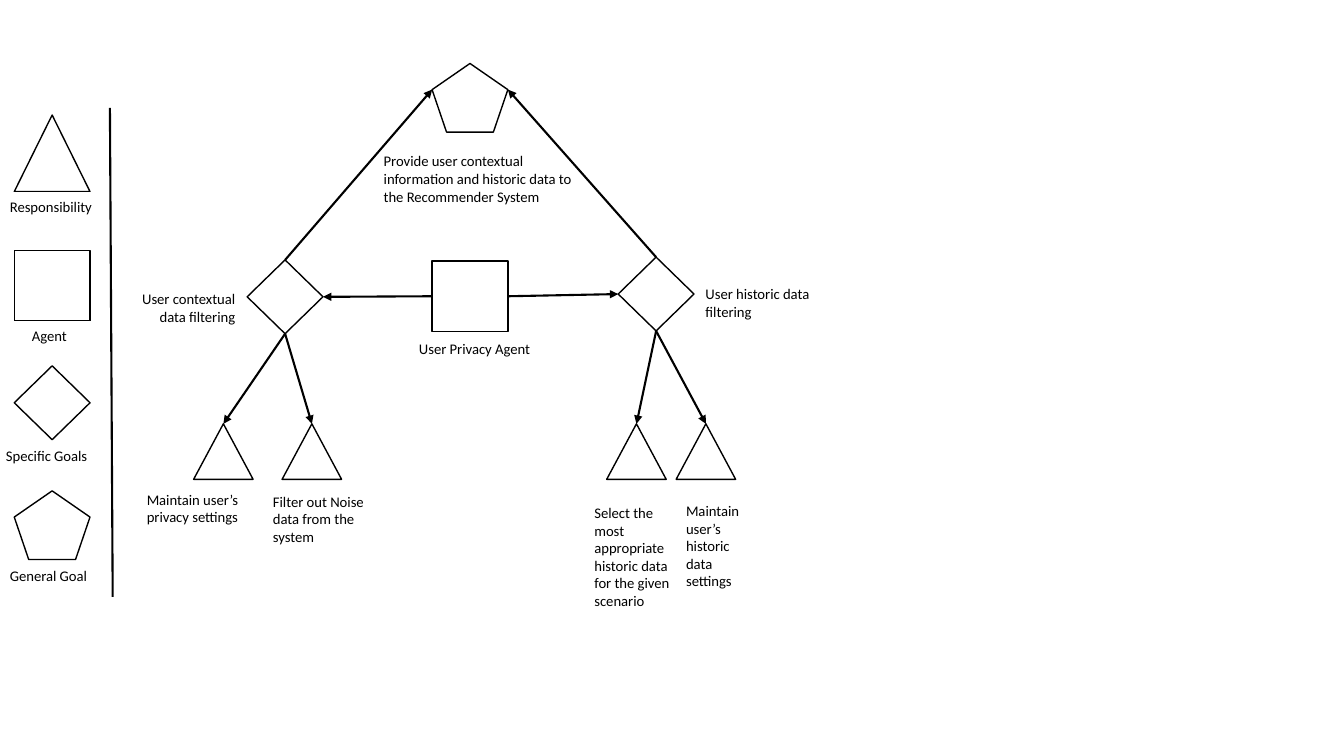
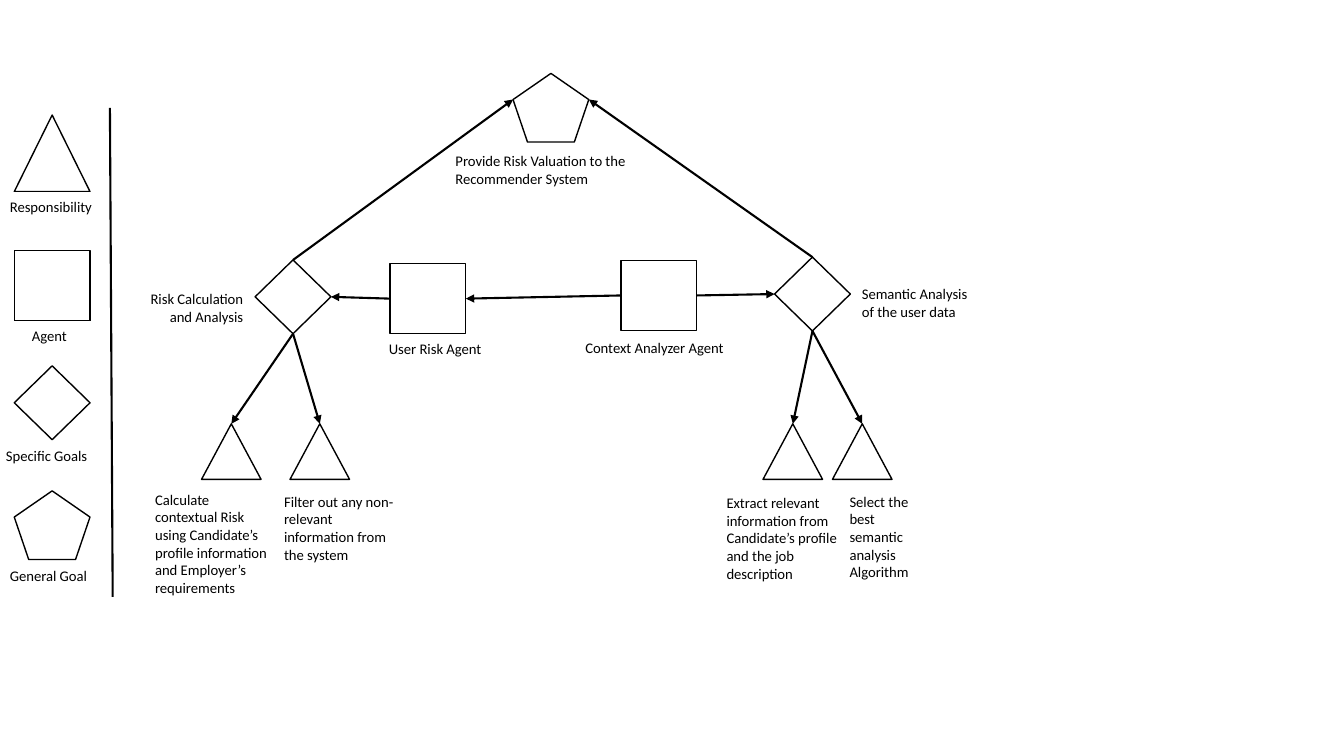
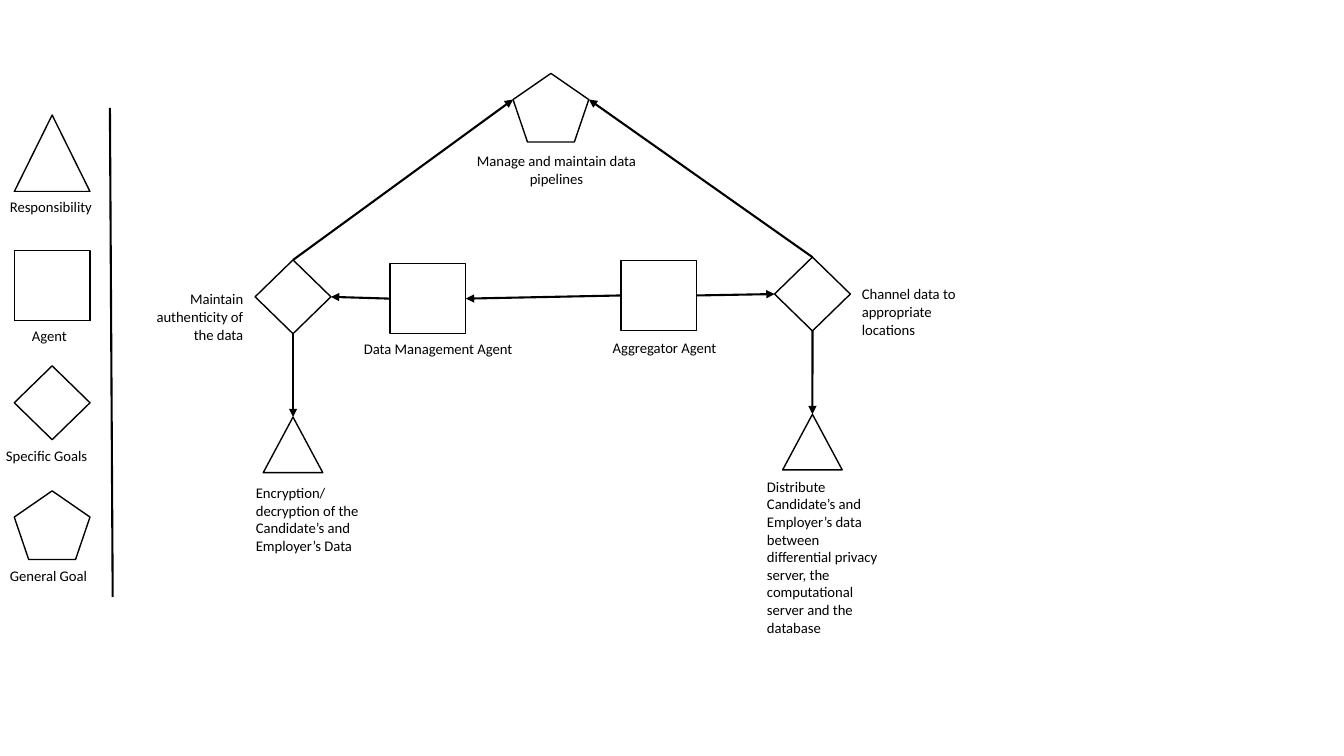
from lxml import etree
from pptx import Presentation
from pptx.dml.color import RGBColor
from pptx.enum.shapes import MSO_CONNECTOR, MSO_SHAPE
from pptx.enum.text import MSO_ANCHOR, MSO_AUTO_SIZE, PP_ALIGN
from pptx.oxml.ns import qn
from pptx.util import Cm, Pt

BLACK = RGBColor(0x00, 0x00, 0x00)
WHITE = RGBColor(0xFF, 0xFF, 0xFF)
FONT = "Calibri"
LEFT, CENTER, RIGHT = PP_ALIGN.LEFT, PP_ALIGN.CENTER, PP_ALIGN.RIGHT
TRIANGLE = MSO_SHAPE.ISOSCELES_TRIANGLE
SQUARE = MSO_SHAPE.RECTANGLE
DIAMOND = MSO_SHAPE.FLOWCHART_DECISION
PENTAGON = MSO_SHAPE.REGULAR_PENTAGON
STRAIGHT = MSO_CONNECTOR.STRAIGHT
TOP_SITE, LEFT_SITE, BOTTOM_SITE, RIGHT_SITE = range(4)

# All lengths are in centimetres.
SYMBOL_WIDTH = 1.91
LEGEND_HEIGHT = 1.93
AGENT_HEIGHT = 1.77
GOAL_HEIGHT = 1.86
PURPOSE_HEIGHT = 1.73
PENTAGON_SHOULDER = 0.38  # share of the height above the side corners
DUTY_SIZE = (1.5, 1.4)
DUTY_PAIR_TOP = 10.68
SINGLE_DUTY_GAP = 2.1
LEGEND_LEFT = 0.36
DIVIDER = (2.77, 2.72, 2.84, 15.04)

# Symbol, its top and height, then label text, left, top, width and alignment
LEGEND = [
    (TRIANGLE, 2.9, LEGEND_HEIGHT, "Responsibility", 0, 4.85, 2.69, LEFT),
    (SQUARE, 6.32, AGENT_HEIGHT, "Agent", -0.23, 8.1, 2.95, CENTER),
    (DIAMOND, 9.22, GOAL_HEIGHT, "Specific Goals", -0.1, 11.13, 2.69, LEFT),
    (PENTAGON, 12.37, PURPOSE_HEIGHT, "General Goal", 0, 14.17, 2.69, LEFT),
]

# Rules for the specific goal on either side; offsets are from the goal's left
SIDES = {
    "left": dict(top=6.55, label=(-3.05, 7.19, 3.0), align=RIGHT,
                 duty_offsets=(-1.35, 0.88)),
    "right": dict(top=6.48, label=(1.95, 7.06, 3.4), align=LEFT,
                  duty_offsets=(-0.29, 1.46)),
}

# Labels: text, left, top, width, number of lines.
# Agents: left and top of the square, then the label.
# Goals: left of the diamond, text, number of lines, labels of responsibilities.
DIAGRAMS = [
    dict(
        purpose_at=(10.89, 1.6), purpose_align=LEFT,
        purpose=("Provide user contextual information and historic data to "
                 "the Recommender System", 9.42, 3.71, 5.59, 3),
        agents=[(10.89, 6.58, ("User Privacy Agent", 10.31, 8.43, 3.63, 1))],
        left=(6.23, "User contextual data filtering", 2, [
            ("Maintain user’s privacy settings", 3.45, 12.24, 3.4, 2),
            ("Filter out Noise data from the system", 6.63, 12.29, 3.0, 3),
        ]),
        right=(15.58, "User historic data filtering", 2, [
            ("Select the most appropriate historic data for the given "
             "scenario", 14.73, 12.57, 2.44, 6),
            ("Maintain user’s historic data settings", 17.04, 12.52, 2.31, 5),
        ]),
    ),
    dict(
        purpose_at=(12.93, 1.85), purpose_align=LEFT,
        purpose=("Provide Risk Valuation to the Recommender System",
                 11.23, 3.71, 5.59, 2),
        agents=[
            (9.83, 6.64, ("User Risk Agent", 9.55, 8.43, 5.59, 1)),
            (15.65, 6.56, ("Context Analyzer Agent", 14.5, 8.41, 5.59, 1)),
        ],
        left=(6.43, "Risk Calculation and Analysis", 2, [
            ("Calculate contextual Risk using Candidate’s profile information "
             "and Employer’s requirements", 3.66, 12.24, 3.4, 6),
            ("Filter out any non-relevant information from the system",
             6.91, 12.29, 3.4, 4),
        ]),
        right=(19.52, "Semantic Analysis of the user data", 2, [
            ("Extract relevant information from Candidate’s profile and the "
             "job description", 18.06, 12.32, 3.4, 5),
            ("Select the best semantic analysis Algorithm",
             21.16, 12.29, 2.31, 5),
        ]),
    ),
    dict(
        purpose_at=(12.93, 1.85), purpose_align=CENTER,
        purpose=("Manage and maintain data pipelines", 11.23, 3.71, 5.59, 2),
        agents=[
            (9.83, 6.64, ("Data Management Agent", 8.92, 8.43, 5.59, 1)),
            (15.65, 6.56, ("Aggregator Agent", 15.19, 8.41, 5.59, 1)),
        ],
        left=(6.43, "Maintain authenticity of the data", 3, [
            ("Encryption/decryption of the Candidate’s and Employer’s Data",
             6.2, 12.07, 3.4, 4),
        ]),
        right=(19.52, "Channel data to appropriate locations", 3, [
            ("Distribute Candidate’s and Employer’s data between differential "
             "privacy server, the computational server and the database",
             19.08, 11.91, 3.4, 9),
        ]),
    ),
]


def add_symbol(slide, kind, left, top, height, width=SYMBOL_WIDTH):
    symbol = slide.shapes.add_shape(kind, Cm(left), Cm(top), Cm(width), Cm(height))
    symbol.shadow.inherit = False
    symbol.fill.solid()
    symbol.fill.fore_color.rgb = WHITE
    symbol.line.color.rgb = BLACK
    symbol.line.width = Pt(1)
    return symbol


def add_label(slide, text, left, top, width, lines=1, align=LEFT, size=10.5,
              color=BLACK):
    height = 0.26 + 0.45 * lines
    label = slide.shapes.add_textbox(Cm(left), Cm(top), Cm(width), Cm(height))
    label.line.color.rgb = WHITE
    label.line.width = Pt(0.75)
    frame = label.text_frame
    frame.word_wrap = True
    frame.auto_size = MSO_AUTO_SIZE.SHAPE_TO_FIT_TEXT
    frame.vertical_anchor = MSO_ANCHOR.TOP
    paragraph = frame.paragraphs[0]
    paragraph.alignment = align
    run = paragraph.add_run()
    run.text = text
    run.font.name = FONT
    run.font.size = Pt(size)
    run.font.color.rgb = color


def add_line(slide, x1=0, y1=0, x2=0, y2=0, start=None, end=None, arrow=True):
    """Draw a line; start and end are (shape, site) pairs that override points."""
    line = slide.shapes.add_connector(STRAIGHT, Cm(x1), Cm(y1), Cm(x2), Cm(y2))
    if start:
        line.begin_connect(*start)
    if end:
        line.end_connect(*end)
    line.line.color.rgb = BLACK
    line.line.width = Pt(1.5)
    if arrow:
        etree.SubElement(line.line._get_or_add_ln(), qn("a:tailEnd"), type="triangle")
    etree.SubElement(line._element.spPr, qn("a:effectLst"))


def add_legend(slide):
    add_line(slide, *DIVIDER, arrow=False)
    for kind, top, height, text, label_left, label_top, width, align in LEGEND:
        add_symbol(slide, kind, LEGEND_LEFT, top, height)
        add_label(slide, text, label_left, label_top, width, align=align)


def add_goal(slide, side, left, text, lines, duties):
    """Draw a specific goal with its responsibilities and return its diamond."""
    rule = SIDES[side]
    goal = add_symbol(slide, DIAMOND, left, rule["top"], GOAL_HEIGHT)
    offset, label_top, label_width = rule["label"]
    add_label(slide, text, left + offset, label_top, label_width, lines,
              align=rule["align"])
    duty_width, duty_height = DUTY_SIZE
    if len(duties) == 1:
        offsets = [(SYMBOL_WIDTH - duty_width) / 2]
        duty_top = rule["top"] + GOAL_HEIGHT + SINGLE_DUTY_GAP
    else:
        offsets, duty_top = rule["duty_offsets"], DUTY_PAIR_TOP
    for offset, duty_label in zip(offsets, duties):
        duty = add_symbol(slide, TRIANGLE, left + offset, duty_top,
                          duty_height, duty_width)
        add_label(slide, *duty_label)
        add_line(slide, start=(goal, BOTTOM_SITE), end=(duty, TOP_SITE))
    return goal


def add_diagram(slide, diagram):
    purpose_left, purpose_top = diagram["purpose_at"]
    add_symbol(slide, PENTAGON, purpose_left, purpose_top, PURPOSE_HEIGHT)
    add_label(slide, *diagram["purpose"], align=diagram["purpose_align"])

    agents = []
    for left, top, agent_label in diagram["agents"]:
        agents.append(add_symbol(slide, SQUARE, left, top, AGENT_HEIGHT))
        add_label(slide, *agent_label)

    left_goal, right_goal = (add_goal(slide, side, *diagram[side]) for side in SIDES)
    shoulder = purpose_top + PENTAGON_SHOULDER * PURPOSE_HEIGHT
    for goal, corner in ((left_goal, purpose_left),
                         (right_goal, purpose_left + SYMBOL_WIDTH)):
        add_line(slide, x2=corner, y2=shoulder, start=(goal, TOP_SITE))

    # Each agent points to its left neighbour, the last one also to the right
    for neighbour, agent in zip([left_goal, *agents], agents):
        add_line(slide, start=(agent, LEFT_SITE), end=(neighbour, RIGHT_SITE))
    add_line(slide, start=(agents[-1], RIGHT_SITE), end=(right_goal, LEFT_SITE))


def main():
    deck = Presentation()
    deck.slide_width, deck.slide_height = Cm(33.87), Cm(19.05)
    blank = deck.slide_layouts[6]
    for diagram in DIAGRAMS:
        slide = deck.slides.add_slide(blank)
        add_legend(slide)
        add_diagram(slide, diagram)
    deck.save("out.pptx")


if __name__ == "__main__":
    main()
